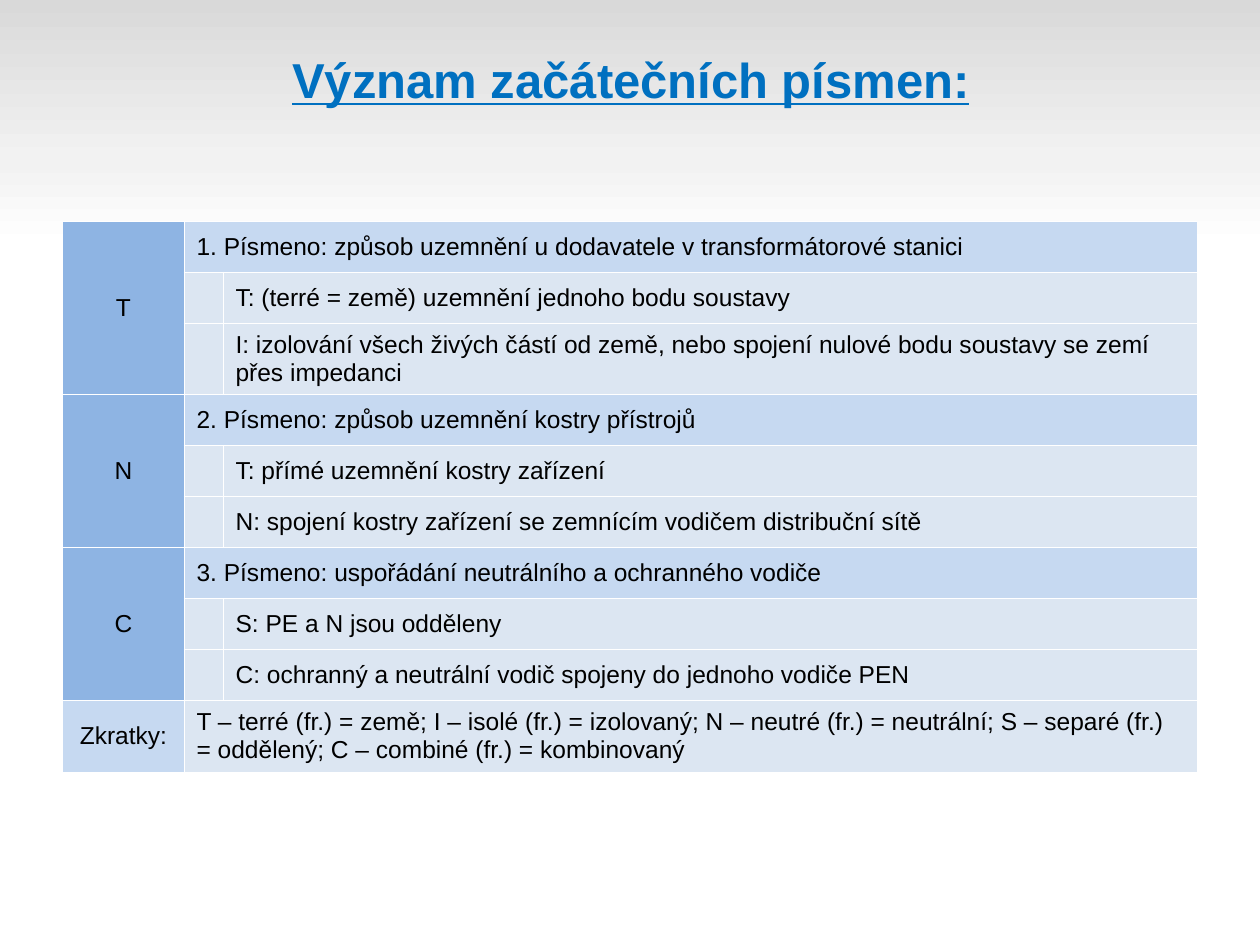
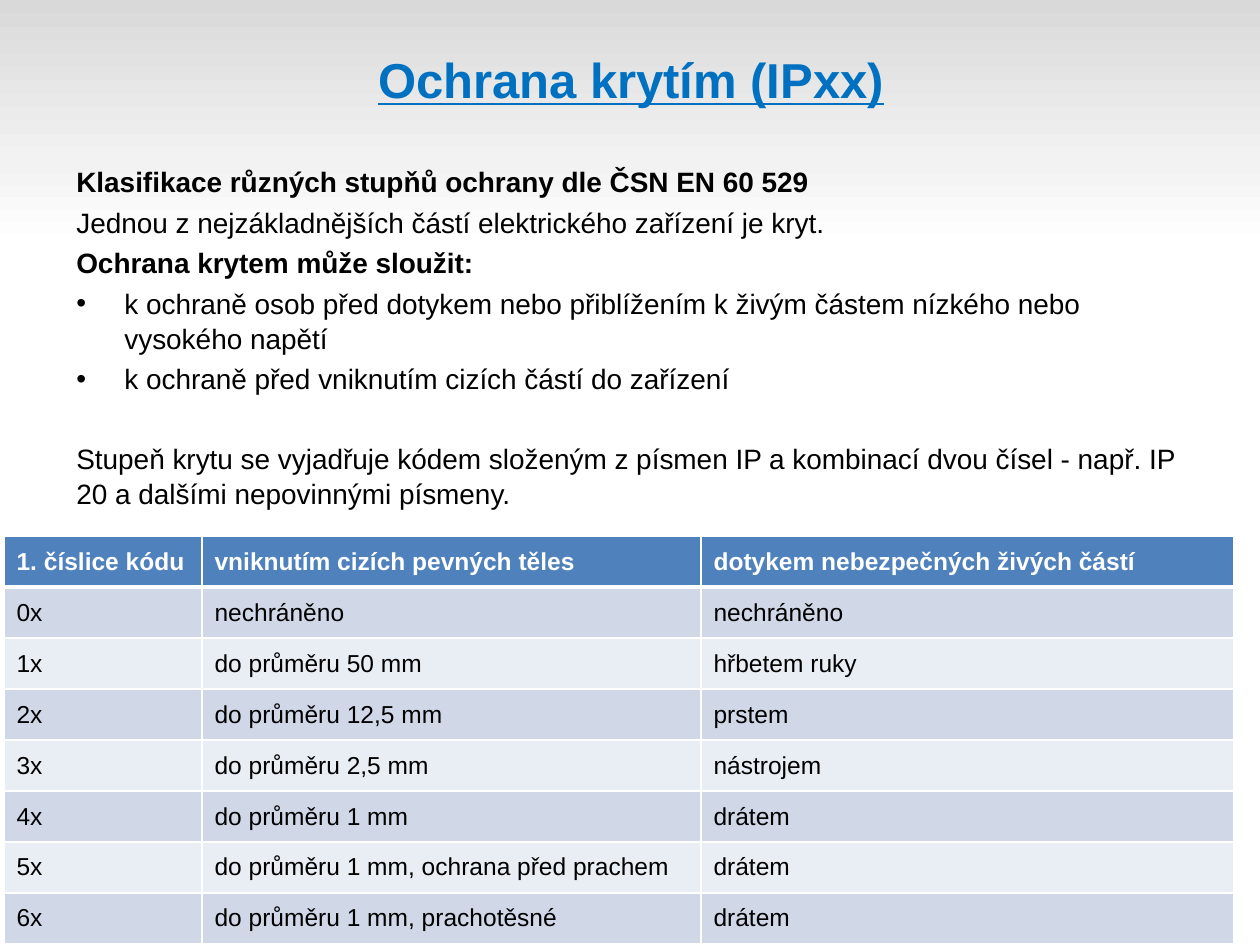
from lxml import etree
from pptx import Presentation
from pptx.dml.color import RGBColor
from pptx.enum.text import MSO_ANCHOR, PP_ALIGN
from pptx.oxml.ns import qn
from pptx.util import Pt

PX = 7257  # EMU in one px, 126 px to the inch
FONT = "Arial"
NO_STYLE = "{2D5ABB26-0587-4C30-8999-92F81FD0307C}"
MIDDLE = MSO_ANCHOR.MIDDLE
LEFT, CENTER = PP_ALIGN.LEFT, PP_ALIGN.CENTER

BLACK = RGBColor(0x00, 0x00, 0x00)
WHITE = RGBColor(0xFF, 0xFF, 0xFF)
TITLE_BLUE = RGBColor(0x00, 0x70, 0xC0)
LETTER_BLUE = RGBColor(0x8E, 0xB4, 0xE3)
HEADING_BLUE = RGBColor(0xC6, 0xD9, 0xF1)
DETAIL_BLUE = RGBColor(0xDC, 0xE6, 0xF2)
HEADER_BLUE = RGBColor(0x4F, 0x81, 0xBD)
BAND_DARK = RGBColor(0xD0, 0xD8, 0xE8)
BAND_LIGHT = RGBColor(0xE9, 0xED, 0xF4)
BACKGROUND_STOPS = [(0, WHITE), (74, WHITE), (83, RGBColor(0xF2, 0xF2, 0xF2)),
                    (100, RGBColor(0xD9, 0xD9, 0xD9))]


def format_text(para, size, color=BLACK, bold=False, align=LEFT):
    para.alignment = align
    for span in para.runs:
        span.font.name = FONT
        span.font.size = Pt(size)
        span.font.bold = bold
        span.font.color.rgb = color


def format_cell(cell, text, fill, borders, color=BLACK, bold=False, align=LEFT):
    """Borders maps the sides L, R, T, B, in that order, to points."""
    properties = cell._tc.get_or_add_tcPr()
    for side, width in borders.items():
        line = etree.SubElement(properties, qn(f"a:ln{side}"), w=str(Pt(width)))
        solid = etree.SubElement(line, qn("a:solidFill"))
        etree.SubElement(solid, qn("a:srgbClr"), val=str(WHITE))
    cell.fill.solid()
    cell.fill.fore_color.rgb = fill
    cell.vertical_anchor = MIDDLE
    cell.text_frame.text = text
    format_text(cell.text_frame.paragraphs[0], 14, color, bold, align)


deck = Presentation()
deck.slide_width, deck.slide_height = 1260 * PX, 945 * PX

# Shared background: grey at the top fading to white
master = deck.slide_master
master.background.fill.gradient()
master.background.fill.gradient_angle = 90
stops = master.element.find(".//" + qn("a:gsLst"))
for stop in list(stops):
    stops.remove(stop)
for percent, color in BACKGROUND_STOPS:
    stop = etree.SubElement(stops, qn("a:gs"), pos=str(percent * 1000))
    etree.SubElement(stop, qn("a:srgbClr"), val=str(color))

# Pages with their titles
pages = []
for title in ["Význam začátečních písmen:", "Ochrana krytím (IPxx)"]:
    page = deck.slides.add_slide(deck.slide_layouts[6])
    box = page.shapes.add_textbox(64 * PX, 0, 1134 * PX, 158 * PX)
    box.text_frame.word_wrap = True
    box.text_frame.vertical_anchor = MIDDLE
    para = box.text_frame.paragraphs[0]
    para.text = title
    format_text(para, 28, TITLE_BLUE, True, CENTER)
    para.runs[0].font.underline = True
    pages.append(page)
letters_page, cover_page = pages

# Slide 1: table of letters, three rows for each letter
LETTER_GROUPS = [
    ("T", "1. Písmeno: způsob uzemnění u dodavatele v transformátorové stanici",
     "T: (terré = země) uzemnění jednoho bodu soustavy",
     "I: izolování všech živých částí od země, nebo spojení nulové bodu soustavy "
     "se zemí přes impedanci"),
    ("N", "2. Písmeno: způsob uzemnění kostry přístrojů",
     "T: přímé uzemnění kostry zařízení",
     "N: spojení kostry zařízení se zemnícím vodičem distribuční sítě"),
    ("C", "3. Písmeno: uspořádání neutrálního a ochranného vodiče",
     "S: PE a N jsou odděleny",
     "C: ochranný a neutrální vodič spojeny do jednoho vodiče PEN"),
]
ABBREVIATIONS = ("T – terré (fr.) = země; I – isolé (fr.) = izolovaný; "
                 "N – neutré (fr.) = neutrální; S – separé (fr.) = oddělený; "
                 "C – combiné (fr.) = kombinovaný")
ROW_HEIGHT, TWO_LINE_HEIGHT = 51, 68
TWO_LINE_ROWS = (2, 9)
ROW_LINES = {"T": 0.5, "B": 0.5}
LETTER_LINES = {"R": 0.5, **ROW_LINES}
HEADING_LINES = {"L": 0.5, **ROW_LINES}

frame = letters_page.shapes.add_table(10, 3, 63 * PX, 221 * PX, 1134 * PX, 544 * PX)
frame._element.find(".//" + qn("a:tableStyleId")).text = NO_STYLE
letters = frame.table
for column, width in zip(letters.columns, [121, 39, 974]):
    column.width = width * PX
for index, row in enumerate(letters.rows):
    row.height = (TWO_LINE_HEIGHT if index in TWO_LINE_ROWS else ROW_HEIGHT) * PX

for group, (letter, heading, *details) in enumerate(LETTER_GROUPS):
    top = 3 * group
    letters.cell(top, 0).merge(letters.cell(top + 2, 0))
    letters.cell(top, 1).merge(letters.cell(top, 2))
    format_cell(letters.cell(top, 0), letter, LETTER_BLUE, LETTER_LINES, align=CENTER)
    format_cell(letters.cell(top, 1), heading, HEADING_BLUE, HEADING_LINES)
    for row, detail in enumerate(details, top + 1):
        format_cell(letters.cell(row, 1), "", DETAIL_BLUE, HEADING_LINES)
        format_cell(letters.cell(row, 2), detail, DETAIL_BLUE, ROW_LINES)

letters.cell(9, 1).merge(letters.cell(9, 2))
format_cell(letters.cell(9, 0), "Zkratky:", HEADING_BLUE, LETTER_LINES, align=CENTER)
format_cell(letters.cell(9, 1), ABBREVIATIONS, DETAIL_BLUE, HEADING_LINES)

# Slide 2: explanation as (text, bold, bullet, space before in points)
EXPLANATION = [
    ("Klasifikace různých stupňů ochrany dle ČSN EN 60 529", True, False, 0),
    ("Jednou z nejzákladnějších částí elektrického zařízení je kryt.", False, False, 3),
    ("Ochrana krytem může sloužit:", True, False, 3),
    ("k ochraně osob před dotykem nebo přiblížením k živým částem nízkého nebo "
     "vysokého napětí", False, True, 3),
    ("k ochraně před vniknutím cizích částí do zařízení", False, True, 3),
    ("Stupeň krytu se vyjadřuje kódem složeným z písmen IP a kombinací dvou čísel "
     "- např. IP 20 a dalšími nepovinnými písmeny.", False, False, 25.3),
]
box = cover_page.shapes.add_textbox(64 * PX, 157 * PX, 1134 * PX, 622 * PX)
box.text_frame.word_wrap = True
for index, (text, bold, bullet, space) in enumerate(EXPLANATION):
    para = box.text_frame.add_paragraph() if index else box.text_frame.paragraphs[0]
    para.text = text
    para.line_spacing = 1.05
    para.space_before = Pt(space)
    if bullet:
        properties = para._p.get_or_add_pPr()
        properties.set("marL", str(48 * PX))
        properties.set("indent", str(-48 * PX))
        etree.SubElement(properties, qn("a:buFont"), typeface=FONT)
        etree.SubElement(properties, qn("a:buChar"), char="•")
    format_text(para, 16, bold=bold)

# Slide 2: table of the first code digit
CODE_ROWS = [
    ("1. číslice kódu", "vniknutím cizích pevných těles", "dotykem nebezpečných živých částí"),
    ("0x", "nechráněno", "nechráněno"),
    ("1x", "do průměru 50 mm", "hřbetem ruky"),
    ("2x", "do průměru 12,5 mm", "prstem"),
    ("3x", "do průměru 2,5 mm", "nástrojem"),
    ("4x", "do průměru 1 mm", "drátem"),
    ("5x", "do průměru 1 mm, ochrana před prachem", "drátem"),
    ("6x", "do průměru 1 mm, prachotěsné", "drátem"),
]
frame = cover_page.shapes.add_table(len(CODE_ROWS), 3, 4 * PX, 536 * PX, 1230 * PX,
                                    len(CODE_ROWS) * ROW_HEIGHT * PX)
frame._element.find(".//" + qn("a:tableStyleId")).text = NO_STYLE
codes = frame.table
for column, width in zip(codes.columns, [198, 499, 533]):
    column.width = width * PX
for row, texts in enumerate(CODE_ROWS):
    header = row == 0
    codes.rows[row].height = ROW_HEIGHT * PX
    fill = HEADER_BLUE if header else BAND_DARK if row % 2 else BAND_LIGHT
    lines = {"L": 1, "R": 1, "T": 3 if row == 1 else 1, "B": 3 if header else 1}
    for column, text in enumerate(texts):
        format_cell(codes.cell(row, column), text, fill, lines,
                    WHITE if header else BLACK, header)

deck.save("out.pptx")
